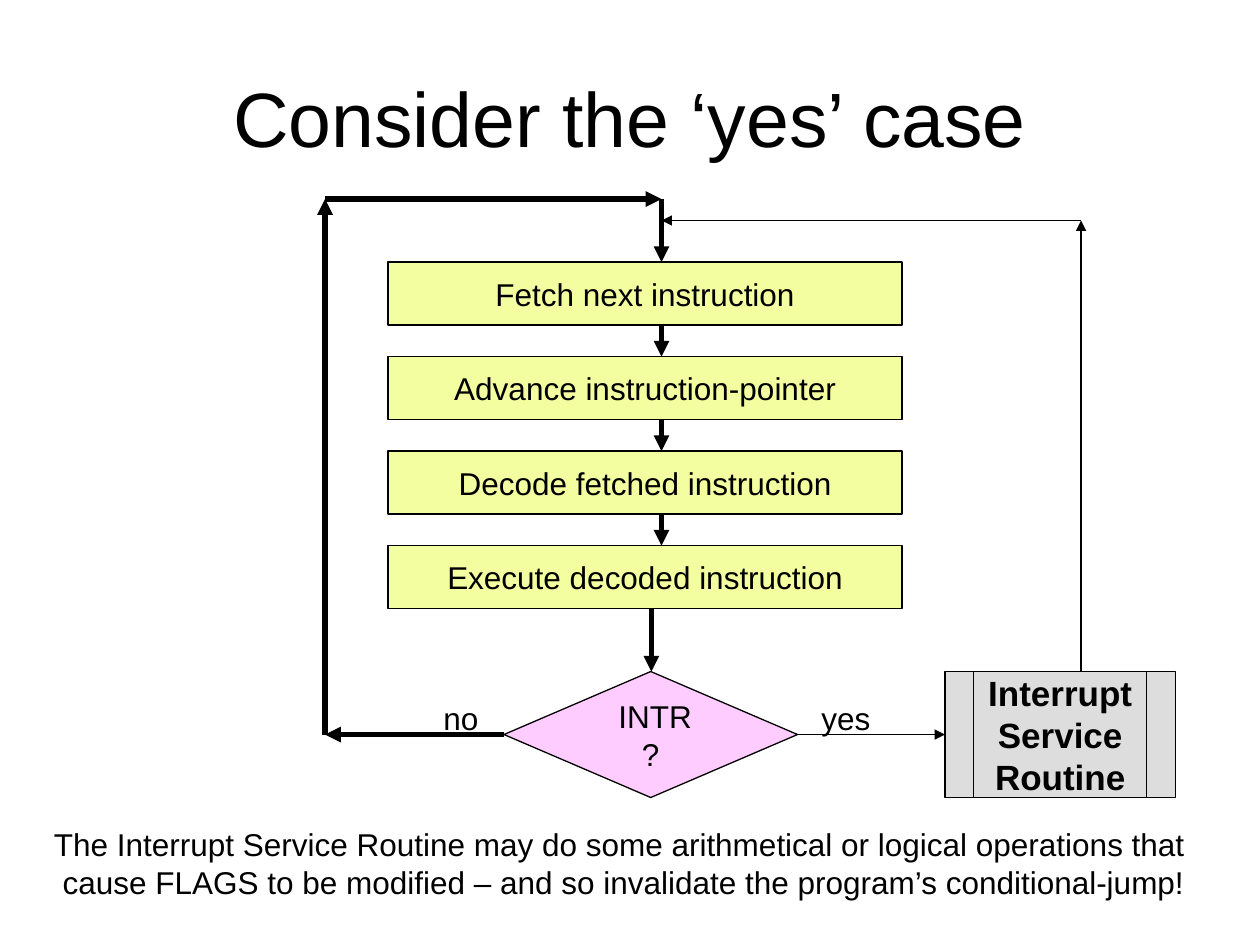
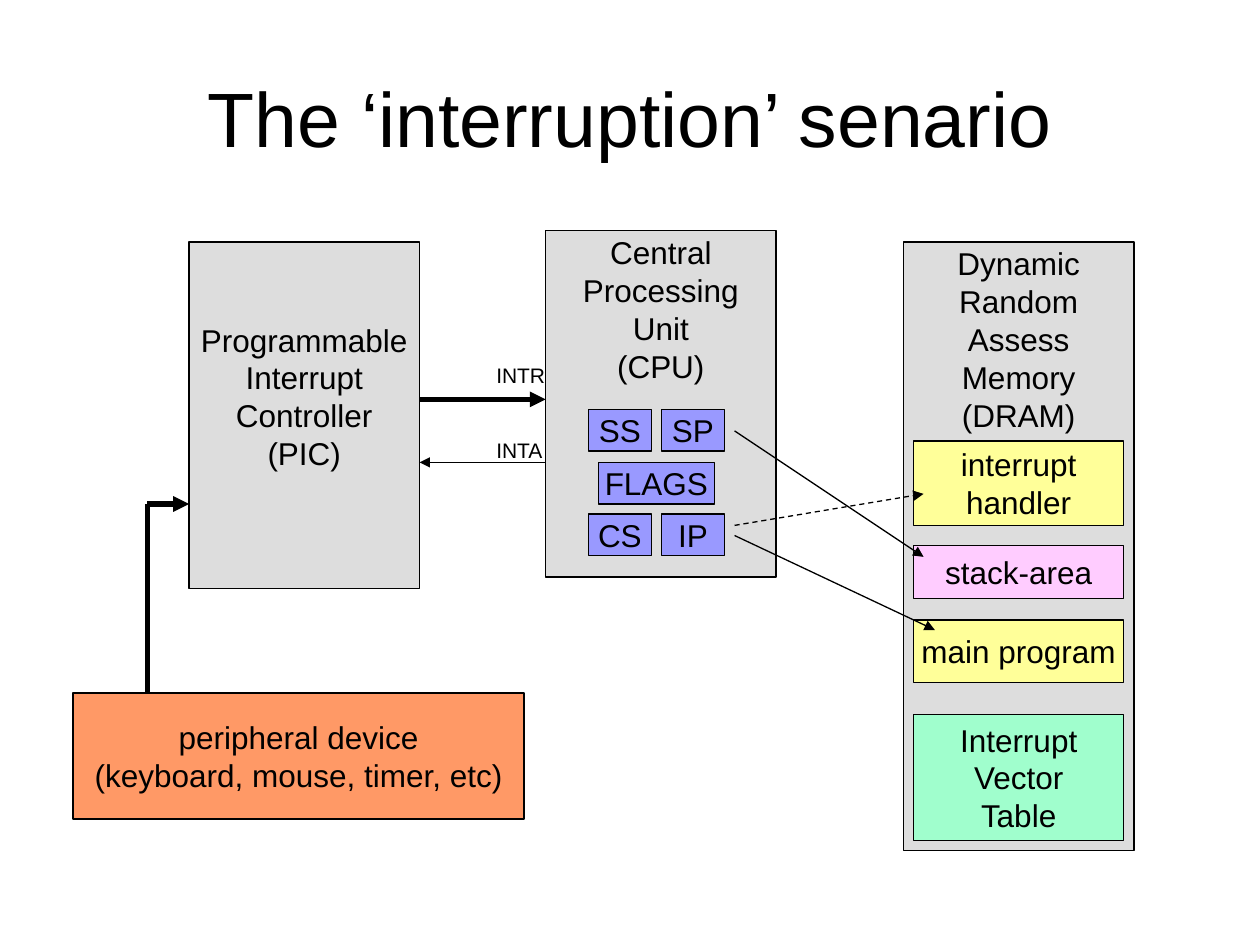
from lxml.etree import SubElement
from pptx import Presentation
from pptx.dml.color import RGBColor
from pptx.enum.dml import MSO_LINE
from pptx.enum.shapes import MSO_CONNECTOR, MSO_SHAPE
from pptx.enum.text import MSO_ANCHOR, MSO_AUTO_SIZE, PP_ALIGN
from pptx.oxml.ns import qn
from pptx.util import Inches, Pt

COLORS = {
    "ink": "000000",
    "step": "F3FEA0",
    "pink": "FFCCFF",
    "grey": "DDDDDD",
    "orange": "FF9966",
    "mint": "A0FECD",
    "yellow": "FFFF99",
    "register": "9999FF",
}
FONT = "Arial"
THIN, THICK = 0.74, 3


def color(name):
    return RGBColor.from_string(COLORS[name])


def write(frame, text, size=18, bold=False, align=PP_ALIGN.CENTER):
    """Fill a text frame, one paragraph for each line of text."""
    frame.text = text
    for paragraph in frame.paragraphs:
        paragraph.alignment = align
        paragraph.font.name = FONT
        paragraph.font.size = Pt(size)
        paragraph.font.bold = bold
        paragraph.font.color.rgb = color("ink")


def add_page(deck, title):
    page = deck.slides.add_slide(deck.slide_layouts[6])
    box = page.shapes.add_textbox(Inches(0.5), Inches(0.3), Inches(9), Inches(1.25))
    box.text_frame.word_wrap = True
    box.text_frame.vertical_anchor = MSO_ANCHOR.MIDDLE
    write(box.text_frame, title, size=44)
    return page


def add_box(page, place, text, fill, kind=MSO_SHAPE.RECTANGLE, size=18, bold=False,
            anchor=MSO_ANCHOR.MIDDLE, top_inset=0.05, bottom_inset=0.05):
    box = page.shapes.add_shape(kind, *map(Inches, place))
    box.shadow.inherit = False
    box.fill.solid()
    box.fill.fore_color.rgb = color(fill)
    box.line.color.rgb = color("ink")
    box.line.width = Pt(THIN)
    frame = box.text_frame
    frame.word_wrap = False
    frame.vertical_anchor = anchor
    frame.margin_top = Inches(top_inset)
    frame.margin_bottom = Inches(bottom_inset)
    write(frame, text, size, bold)


def add_label(page, place, text, size=18):
    box = page.shapes.add_textbox(*map(Inches, place))
    box.text_frame.word_wrap = False
    box.text_frame.auto_size = MSO_AUTO_SIZE.SHAPE_TO_FIT_TEXT
    write(box.text_frame, text, size, align=PP_ALIGN.LEFT)


def add_line(page, start, end, width=THICK, arrow=True, dashed=False):
    connector = page.shapes.add_connector(
        MSO_CONNECTOR.STRAIGHT, *map(Inches, (*start, *end)))
    connector.line.color.rgb = color("ink")
    connector.line.width = Pt(width)
    if dashed:
        connector.line.dash_style = MSO_LINE.DASH
    properties = connector.element.spPr
    if arrow:
        SubElement(properties.find(qn("a:ln")), qn("a:tailEnd"), type="triangle")
    SubElement(properties, qn("a:effectLst"))


def add_path(page, points, width=THICK):
    """Join the points by arrows, each with its own head."""
    for start, end in zip(points, points[1:]):
        add_line(page, start, end, width)


def build_yes_case(deck):
    page = add_page(deck, "Consider the ‘yes’ case")

    # Instruction cycle: equal steps, an arrow into each one
    steps = ["Fetch next instruction", "Advance instruction-pointer",
             "Decode fetched instruction", "Execute decoded instruction"]
    first_top, pitch, height = 2.08, 0.75, 0.5
    for index, step in enumerate(steps):
        top = first_top + index * pitch
        add_box(page, (3.08, top, 4.08, height), step, "step",
                MSO_SHAPE.FLOWCHART_PROCESS)
        gap = pitch - height if index else 0.5
        add_line(page, (5.25, top - gap), (5.25, top))

    # Decision and its two branches
    add_line(page, (5.17, 4.83), (5.17, 5.33))
    add_box(page, (4, 5.33, 2.33, 1), " INTR\n?", "pink", MSO_SHAPE.FLOWCHART_DECISION)
    add_box(page, (7.5, 5.33, 1.83, 1), "Interrupt\nService\nRoutine", "grey",
            MSO_SHAPE.FLOWCHART_PREDEFINED_PROCESS, size=20, bold=True)
    add_path(page, [(4, 5.83), (2.58, 5.83), (2.58, 1.58), (5.25, 1.58)])
    add_line(page, (6.33, 5.83), (7.5, 5.83), THIN)
    add_path(page, [(8.58, 5.33), (8.58, 1.75), (5.25, 1.75)], THIN)
    add_label(page, (3.42, 5.5, 0.48, 0.4), "no")
    add_label(page, (6.42, 5.5, 0.59, 0.4), "yes")

    # Remark
    add_label(page, (0.33, 6.5, 9.24, 0.7),
              "The Interrupt Service Routine may do some arithmetical or logical "
              "operations that\n cause FLAGS to be modified – and so invalidate "
              "the program’s conditional-jump! ")


def build_interruption(deck):
    page = add_page(deck, "The ‘interruption’ senario")

    # Main units
    heading = {"anchor": MSO_ANCHOR.TOP, "top_inset": 0.02}
    add_box(page, (7.17, 1.92, 1.83, 4.83),
            "Dynamic\nRandom\nAssess\nMemory\n(DRAM)", "grey", **heading)
    add_box(page, (4.33, 1.83, 1.83, 2.75),
            "Central\nProcessing\nUnit\n(CPU)", "grey", **heading)
    add_box(page, (1.5, 1.92, 1.83, 2.75),
            "Programmable\nInterrupt\nController\n(PIC)", "grey", bottom_inset=0.35)
    add_box(page, (0.58, 5.5, 3.58, 1),
            "peripheral device\n(keyboard, mouse, timer, etc)", "orange")

    # Memory areas
    areas = [
        (3.5, 0.67, "interrupt\nhandler", "yellow"),
        (4.33, 0.42, "stack-area", "pink"),
        (4.92, 0.5, "main program", "yellow"),
        (5.67, 1, "Interrupt\nVector\nTable", "mint"),
    ]
    for top, height, text, fill in areas:
        add_box(page, (7.25, top, 1.67, height), text, fill)

    # Processor registers
    registers = [
        (4.67, 3.25, 0.5, "SS"), (5.25, 3.25, 0.5, "SP"),
        (4.75, 3.67, 0.92, "FLAGS"),
        (4.67, 4.08, 0.5, "CS"), (5.25, 4.08, 0.5, "IP"),
    ]
    for left, top, width, text in registers:
        add_box(page, (left, top, width, 0.33), text, "register")

    # Signals between the units
    add_line(page, (3.33, 3.17), (4.33, 3.17))
    add_line(page, (4.33, 3.67), (3.33, 3.67), THIN)
    add_line(page, (1.17, 4), (1.17, 5.5), arrow=False)
    add_line(page, (1.17, 4), (1.5, 4))
    add_label(page, (3.84, 2.83, 0.59, 0.3), "INTR", size=12)
    add_label(page, (3.84, 3.42, 0.58, 0.3), "INTA", size=12)

    # Pointers from registers into memory
    add_line(page, (5.83, 3.42), (7.33, 4.42), THIN)
    add_line(page, (5.83, 4.25), (7.42, 5), THIN)
    add_line(page, (5.83, 4.17), (7.33, 3.92), THIN, dashed=True)


def main():
    deck = Presentation()
    deck.slide_width = Inches(10)
    deck.slide_height = Inches(7.5)
    build_yes_case(deck)
    build_interruption(deck)
    deck.save("out.pptx")


main()
